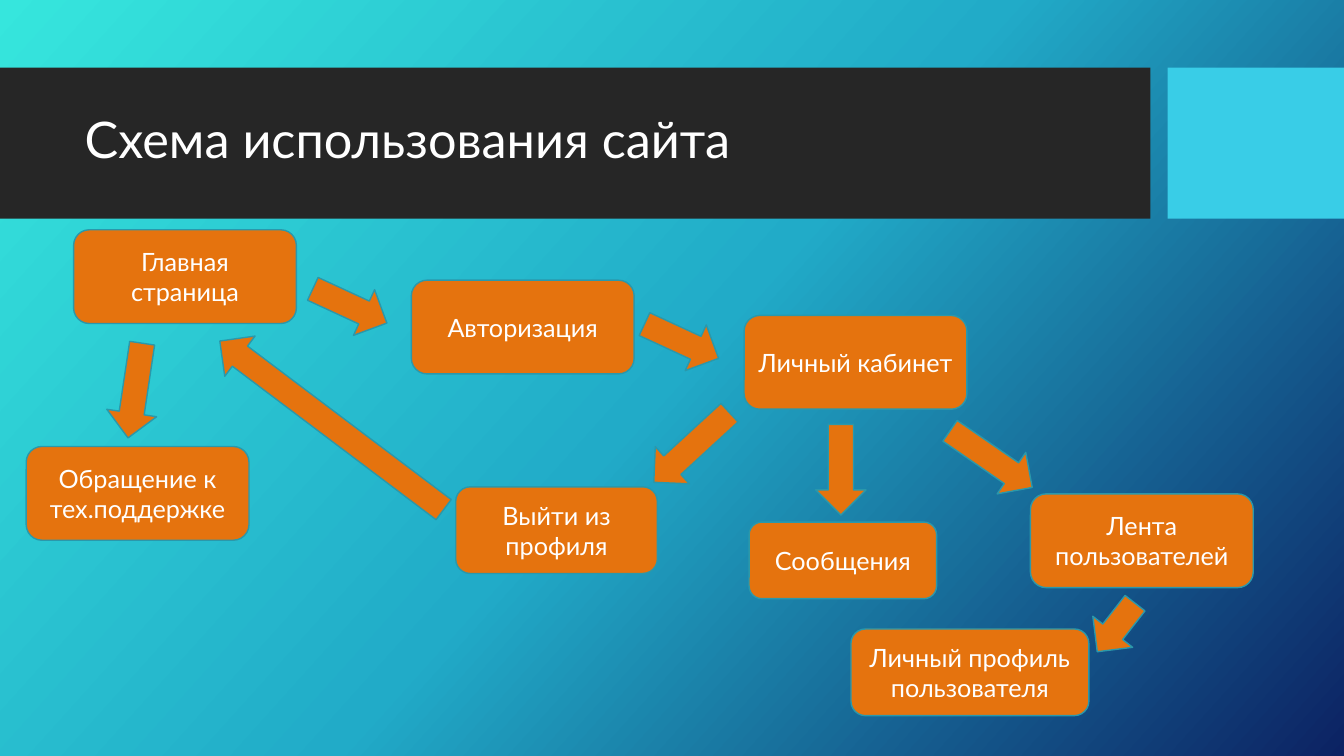
from copy import deepcopy

from pptx import Presentation
from pptx.dml.color import RGBColor
from pptx.enum.shapes import MSO_SHAPE
from pptx.enum.text import MSO_ANCHOR, PP_ALIGN
from pptx.oxml.ns import qn
from pptx.util import Inches, Pt

RECT = MSO_SHAPE.RECTANGLE
ROUNDED = MSO_SHAPE.ROUNDED_RECTANGLE
ARROW = MSO_SHAPE.DOWN_ARROW
MIDDLE = MSO_ANCHOR.MIDDLE
LEFT, CENTER = PP_ALIGN.LEFT, PP_ALIGN.CENTER

FONT = "Lato"
WHITE = RGBColor(0xFF, 0xFF, 0xFF)
DARK = RGBColor(0x26, 0x26, 0x26)
CYAN = RGBColor(0x39, 0xCD, 0xE7)
ORANGE = RGBColor(0xE5, 0x73, 0x0E)
TEAL = RGBColor(0x2A, 0x98, 0xAB)
GRADIENT = [
    (0, RGBColor(0x36, 0xE6, 0xDD)),
    (0.5, RGBColor(0x21, 0xAB, 0xC8)),
    (1, RGBColor(0x0C, 0x22, 0x63)),
]


def add_filled(shape_type, box, color, outline=None):
    sp = s.shapes.add_shape(shape_type, *[Inches(v) for v in box])
    sp.shadow.inherit = False
    sp.fill.solid()
    sp.fill.fore_color.rgb = color
    if outline is None:
        sp.line.fill.background()
    else:
        sp.line.color.rgb = outline
        sp.line.width = Pt(1)
    return sp


def set_text(sp, text, size, align):
    tf = sp.text_frame
    tf.word_wrap = True
    tf.vertical_anchor = MIDDLE
    p = tf.paragraphs[0]
    p.text = text
    p.alignment = align
    p.font.name = FONT
    p.font.size = Pt(size)
    p.font.color.rgb = WHITE
    return p


prs = Presentation()
prs.slide_width = Inches(13.33)
prs.slide_height = Inches(7.5)
s = prs.slides.add_slide(prs.slide_layouts[5])

fill = s.background.fill
fill.gradient()
fill.gradient_angle = 360 - 42
stops = s._element.find(".//" + qn("a:gsLst"))
stops.append(deepcopy(stops[-1]))
for stop, (position, color) in zip(fill.gradient_stops, GRADIENT):
    stop.position = position
    stop.color.rgb = color

add_filled(RECT, (0, 0.67, 11.41, 1.5), DARK)
add_filled(RECT, (11.58, 0.67, 1.75, 1.5), CYAN)

title = s.shapes.title
s.shapes._spTree.append(title._element)
title.left, title.top = Inches(0.74), Inches(0.82)
title.width, title.height = Inches(10.51), Inches(1.18)
set_text(title, "Схема использования сайта", 36, LEFT).line_spacing = 0.9

pages = [
    ("Главная страница", 0.73, 2.28, 2.21, 0.93),
    ("Авторизация", 4.08, 2.78, 2.21, 0.93),
    ("Личный кабинет", 7.38, 3.13, 2.21, 0.93),
    ("Сообщения", 7.43, 5.18, 1.86, 0.76),
    ("Лента пользователей", 10.22, 4.9, 2.21, 0.93),
    ("Выйти из профиля", 4.52, 4.83, 2, 0.86),
    ("Обращение к тех.поддержке", 0.26, 4.43, 2.21, 0.93),
    ("Личный профиль пользователя", 8.44, 6.24, 2.36, 0.86),
]
for text, *box in pages:
    sp = add_filled(ROUNDED, box, ORANGE, TEAL)
    set_text(sp, text, 18, CENTER)

arrows = [
    (3.22, 2.63, 0.81, 294.8),
    (6.51, 2.98, 0.81, 294.8),
    (6.61, 3.93, 1.02, 47.4),
    (9.58, 4.06, 0.99, 304.6),
    (8.09, 4.21, 0.9, 0),
    (3.04, 2.83, 2.78, 127),
    (1.09, 3.4, 0.95, 8.5),
    (10.82, 5.92, 0.61, 37.9),
]
for left, top, length, angle in arrows:
    sp = add_filled(ARROW, (left, top, 0.5, length), ORANGE, TEAL)
    sp.rotation = angle

prs.save("out.pptx")
